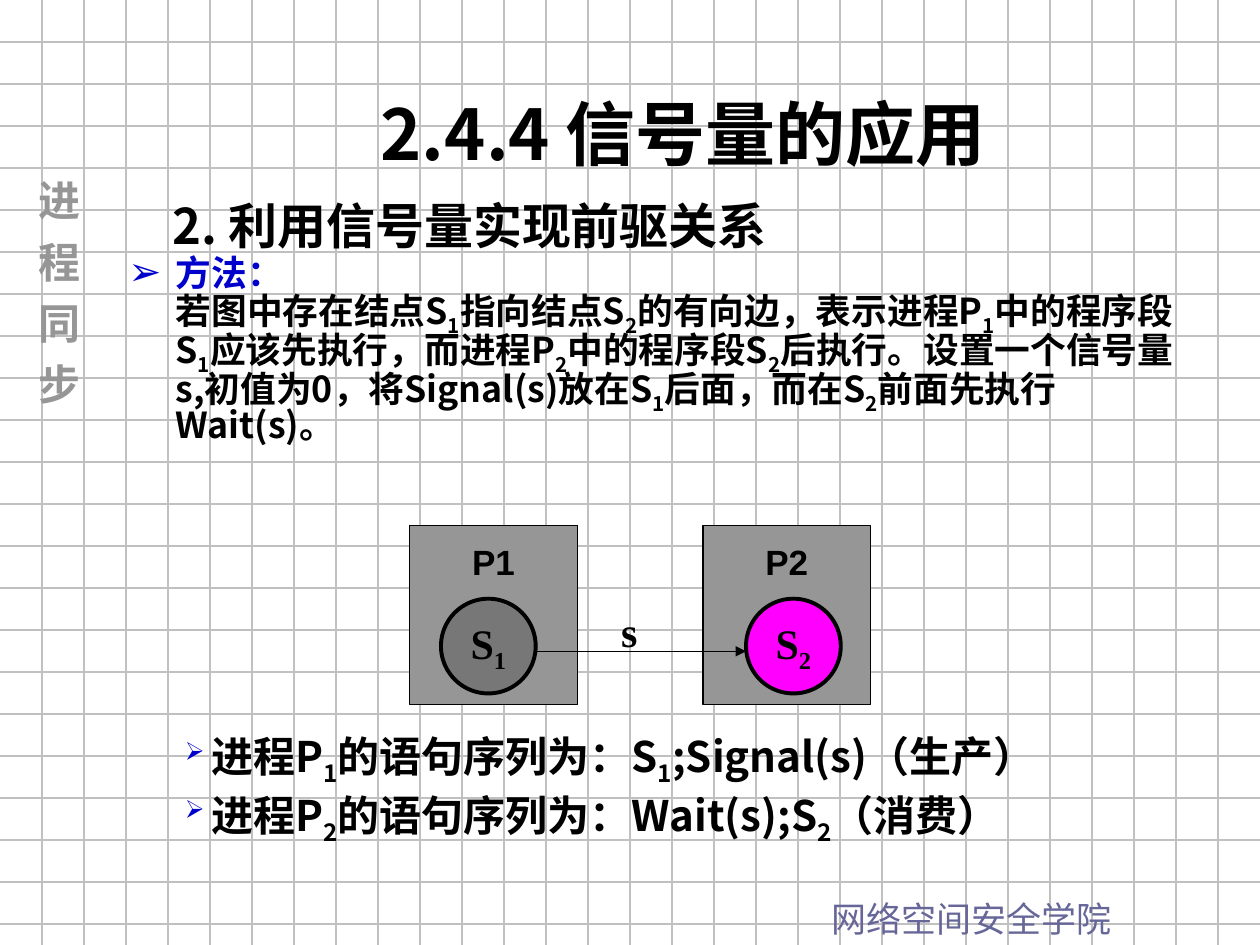
from dataclasses import dataclass

from lxml import etree
from pptx import Presentation
from pptx.dml.color import RGBColor
from pptx.enum.shapes import MSO_CONNECTOR, MSO_SHAPE
from pptx.enum.text import MSO_ANCHOR, MSO_AUTO_SIZE, PP_ALIGN
from pptx.oxml.ns import qn
from pptx.util import Cm, Pt

LEFT, CENTER = PP_ALIGN.LEFT, PP_ALIGN.CENTER
TOP, MIDDLE = MSO_ANCHOR.TOP, MSO_ANCHOR.MIDDLE
RECTANGLE, OVAL = MSO_SHAPE.RECTANGLE, MSO_SHAPE.OVAL
STRAIGHT = MSO_CONNECTOR.STRAIGHT
NO_AUTOFIT = MSO_AUTO_SIZE.NONE

SANS_SC, SANS_JP = "Noto Sans CJK SC", "Noto Sans CJK JP"
SERIF, ARIAL = "Times New Roman", "Arial"
BLACK, GRAY, BLUE = "000000", "969696", "0000CC"
GRID_COLUMNS = 30


@dataclass(frozen=True)
class Process:
    name: str
    statement: str
    panel_left: float
    node_left: float
    node_fill: str


PROCESSES = [
    Process("P2", "S_2", 14.17, 15.04, "FF00FF"),
    Process("P1", "S_1", 8.26, 8.89, "777777"),
]


def rgb(color: str) -> RGBColor:
    return RGBColor.from_string(color)


def add_bullet(paragraph, size: int) -> None:
    """Give a paragraph an arrow bullet, sized in percent of the text."""
    properties = paragraph._p.get_or_add_pPr()
    color = etree.SubElement(properties, qn("a:buClr"))
    etree.SubElement(color, qn("a:srgbClr"), val=BLUE)
    etree.SubElement(properties, qn("a:buSzPct"), val=str(size * 1000))
    etree.SubElement(properties, qn("a:buChar"), char="➢")


def write(frame, text: str, *, size: float, font: str, color: str = BLACK,
          bold: bool = True, align=LEFT, spacing: float = 1.0, before: float = 0,
          left: float = 0, hanging: float = 0, bullet: int = 0,
          tracking: int = 0, append: bool = False) -> None:
    """Write one paragraph; the character after each underscore is a subscript."""
    paragraph = frame.add_paragraph() if append else frame.paragraphs[0]
    paragraph.alignment = align
    paragraph.line_spacing = spacing
    paragraph.space_before = Pt(before)
    properties = paragraph._p.get_or_add_pPr()
    properties.set("marL", str(Cm(left)))
    properties.set("indent", str(Cm(-hanging)))
    if bullet:
        add_bullet(paragraph, bullet)
    else:
        etree.SubElement(properties, qn("a:buNone"))

    first, *rest = text.split("_")
    pieces = [(first, False)]
    for piece in rest:
        pieces += [(piece[0], True), (piece[1:], False)]
    for words, is_subscript in pieces:
        if not words:
            continue
        run = paragraph.add_run()
        run.text = words
        run.font.size, run.font.bold, run.font.name = Pt(size), bold, font
        run.font.color.rgb = rgb(color)
        run_properties = run._r.get_or_add_rPr()
        etree.SubElement(run_properties, qn("a:ea"), typeface=font)
        if is_subscript:
            run_properties.set("baseline", "-25000")
        if tracking:
            run_properties.set("spc", str(tracking * 100))


def set_frame(shape, *, anchor=TOP, wrap: bool = True, top_inset: float = 0.13):
    frame = shape.text_frame
    frame.auto_size = NO_AUTOFIT
    frame.word_wrap = wrap
    frame.vertical_anchor = anchor
    frame.margin_left = frame.margin_right = Cm(0.25)
    frame.margin_top, frame.margin_bottom = Cm(top_inset), Cm(0.13)
    return frame


def add_text(slide, left: float, top: float, width: float, height: float,
             wrap: bool = True):
    box = slide.shapes.add_textbox(Cm(left), Cm(top), Cm(width), Cm(height))
    return set_frame(box, wrap=wrap)


def place(slide, placeholder, left: float, top: float, width: float, height: float):
    """Position a placeholder in front of everything drawn so far."""
    placeholder.left, placeholder.top = Cm(left), Cm(top)
    placeholder.width, placeholder.height = Cm(width), Cm(height)
    slide.shapes.element.append(placeholder.element)
    return set_frame(placeholder)


def add_shape(slide, kind, left: float, top: float, width: float, height: float,
              fill: str, line_width: float):
    shape = slide.shapes.add_shape(kind, Cm(left), Cm(top), Cm(width), Cm(height))
    shape.shadow.inherit = False
    shape.fill.solid()
    shape.fill.fore_color.rgb = rgb(fill)
    shape.line.color.rgb = rgb(BLACK)
    shape.line.width = Pt(line_width)
    return shape


def add_line(slide, x1: int, y1: int, x2: int, y2: int, color: str,
             arrow: bool = False) -> None:
    line = slide.shapes.add_connector(STRAIGHT, x1, y1, x2, y2)
    line.line.color.rgb = rgb(color)
    line.line.width = Pt(0.75)
    if arrow:
        etree.SubElement(line.line._get_or_add_ln(), qn("a:tailEnd"), type="triangle")
    etree.SubElement(line.element.spPr, qn("a:effectLst"))


def add_grid(slide, width: int, height: int) -> None:
    step = width // GRID_COLUMNS
    for y in range(step, height, step):
        add_line(slide, 0, y, width, y, "C0C0C0")
    for x in range(step, width, step):
        add_line(slide, x, 0, x, height, "C0C0C0")


def main() -> None:
    deck = Presentation()
    deck.slide_width, deck.slide_height = Cm(25.4), Cm(19.05)
    slide = deck.slides.add_slide(deck.slide_layouts[1])
    title, method = slide.placeholders

    # Background grid and school name
    add_grid(slide, deck.slide_width, deck.slide_height)
    school = add_text(slide, 16.51, 17.96, 8.89, 1.09)
    write(school, "网络空间安全学院", size=20, font=SANS_JP, color="666699", bold=False)

    # Title and section heading
    write(place(slide, title, 3.61, 1.7, 20.32, 1.96), "2.4.4 信号量的应用",
          size=40, font=SANS_JP, align=CENTER)
    heading = add_text(slide, 3.23, 3.81, 12.9, 1.45, wrap=False)
    write(heading, "2. 利用信号量实现前驱关系", size=28, font=SANS_SC)

    # Method description
    method_text = place(slide, method, 2.34, 5.1, 22.02, 5.3)
    write(method_text, "方法：", size=20.4, font=SANS_SC, color=BLUE, spacing=0.8,
          left=0.95, hanging=0.95, bullet=110)
    write(method_text,
          "若图中存在结点S_1指向结点S_2的有向边，表示进程P_1中的程序段S_1应该先执行，"
          "而进程P_2中的程序段S_2后执行。设置一个信号量s,初值为0，"
          "将Signal(s)放在S_1后面，而在S_2前面先执行Wait(s)。",
          size=20.4, font=SANS_SC, spacing=0.8, left=0.95, append=True)

    # Process panels, then their statement nodes
    for process in PROCESSES:
        panel = add_shape(slide, RECTANGLE, process.panel_left, 10.59, 3.38, 3.61,
                          GRAY, 0.75)
        write(set_frame(panel, wrap=False, top_inset=0.3), process.name,
              size=20, font=ARIAL, align=CENTER)
    for process in PROCESSES:
        node = add_shape(slide, OVAL, process.node_left, 12.07, 1.91, 1.91,
                         process.node_fill, 2.25)
        write(set_frame(node, anchor=MIDDLE, wrap=False), process.statement,
              size=24, font=SERIF, align=CENTER)

    # Semaphore arrow
    add_line(slide, Cm(10.8), Cm(13.13), Cm(15.04), Cm(13.13), BLACK, arrow=True)
    semaphore = add_text(slide, 12.27, 12.07, 0.84, 1.27, wrap=False)
    write(semaphore, "s", size=24, font=SERIF)

    # Statement sequence of each process
    sequences = add_text(slide, 2.74, 14.61, 19.69, 3.1)
    for index, sequence in enumerate(["进程P_1的语句序列为：S_1;Signal(s)（生产）",
                                      "进程P_2的语句序列为：Wait(s);S_2（消费）"]):
        write(sequences, sequence, size=24, font=SANS_SC, spacing=0.9,
              before=4 * index, left=1.27, hanging=0.53, bullet=60, append=index > 0)

    # Vertical chapter label
    chapter = add_text(slide, 0.28, 3.5, 1.52, 11.63)
    chapter._txBody.bodyPr.set("vert", "eaVert")
    chapter.margin_left = chapter.margin_right = Cm(0.13)
    write(chapter, "进程同步", size=24, font=SANS_JP, color=GRAY, align=CENTER,
          tracking=11)

    deck.save("out.pptx")


if __name__ == "__main__":
    main()
